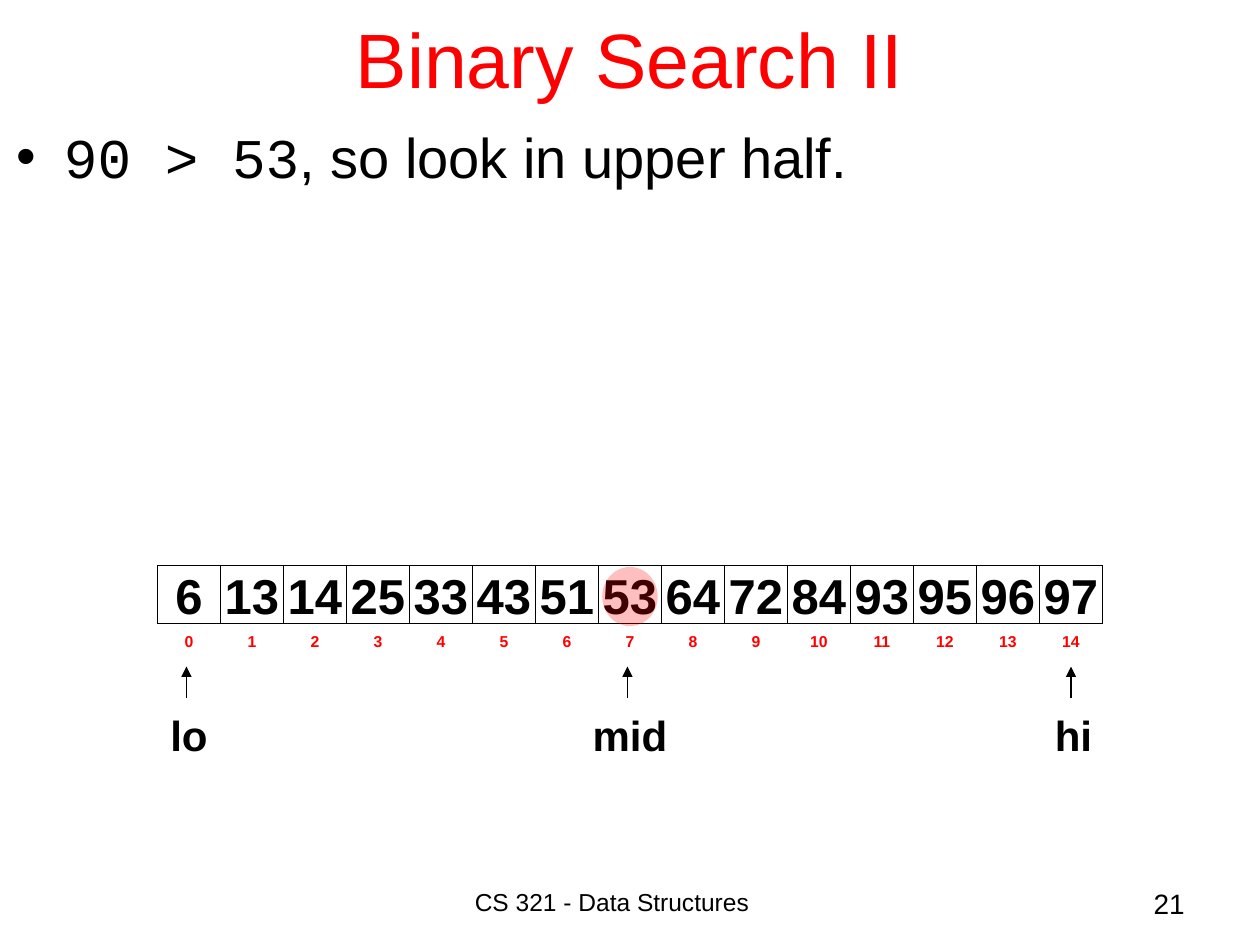
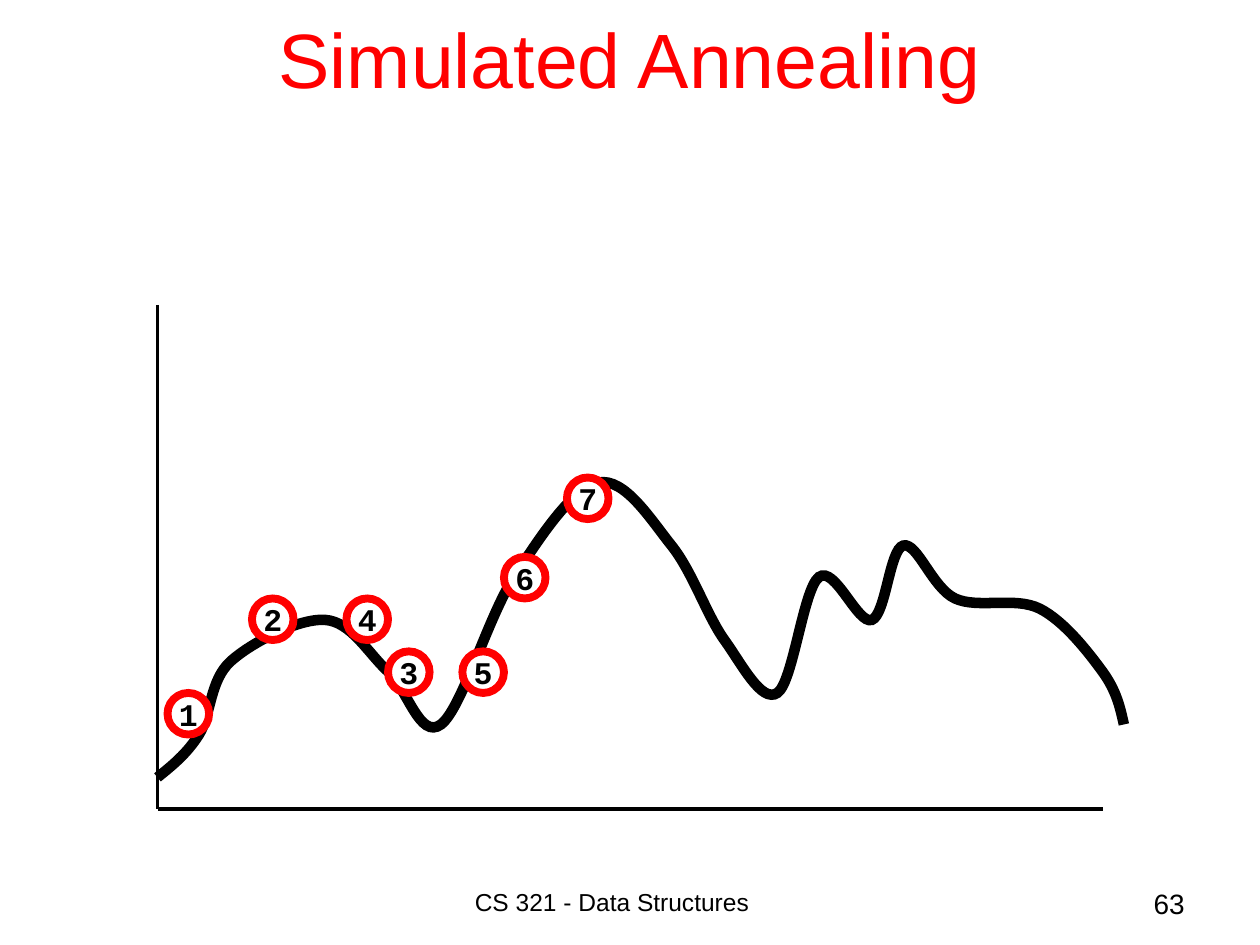
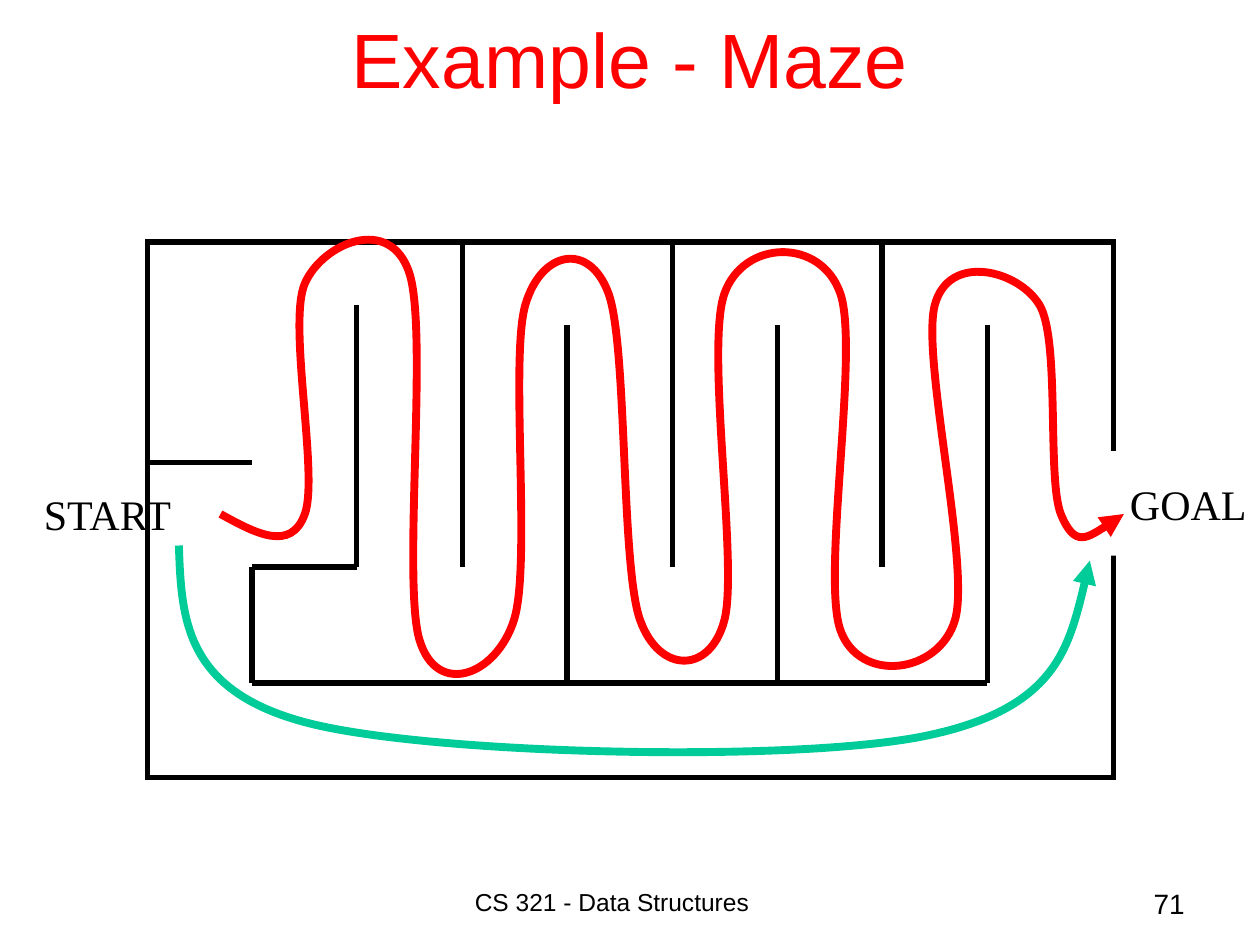
from lxml import etree
from pptx import Presentation
from pptx.dml.color import RGBColor
from pptx.enum import shapes, text
from pptx.oxml import ns
from pptx.util import Inches, Pt

BLACK = RGBColor(0, 0, 0)
WHITE = RGBColor(255, 255, 255)
RED = RGBColor(255, 0, 0)
GREEN = RGBColor(0, 204, 153)
SANS, MONO, SERIF = "Arial", "Courier New", "Times New Roman"
LEFT, MID, RIGHT = text.PP_ALIGN.LEFT, text.PP_ALIGN.CENTER, text.PP_ALIGN.RIGHT
RECT, OVAL = shapes.MSO_SHAPE.RECTANGLE, shapes.MSO_SHAPE.OVAL

# Content
FOOTER = "CS 321 - Data Structures"
VALUES = [6, 13, 14, 25, 33, 43, 51, 53, 64, 72, 84, 93, 95, 96, 97]
CELL, ROW = 0.5, 1.25
# label, left, width, arrow x
MARKS = [("lo", 1.25, 0.5, 1.48), ("hi", 8.27, 0.5, 8.5), ("mid", 4.6, 0.8, 4.98)]

HILLS = [(1.25, 6.17), (1.58, 5.83), (1.83, 5.25), (2.58, 4.92), (3.08, 5.33),
         (3.5, 5.75), (4.08, 4.58), (4.75, 3.83), (5.33, 4.33), (5.75, 5.08),
         (6.17, 5.5), (6.5, 4.58), (6.92, 4.92), (7.17, 4.33), (7.58, 4.75),
         (8.25, 4.83), (8.75, 5.33), (8.92, 5.75)]
STEPS = [(1.33, 5.5), (2, 4.75), (3.08, 5.17), (2.75, 4.75), (3.67, 5.17),
         (4, 4.42), (4.5, 3.79)]
AXES = [(1.25, 2.42, 1.25, 6.42), (8.75, 6.42, 1.25, 6.42)]

WALLS = [(1.17, 3.67, 2, 3.67), (2, 4.5, 2.83, 4.5), (2.83, 2.42, 2.83, 4.5),
         (2, 5.42, 7.83, 5.42), (2, 4.5, 2, 5.42)]
LONG = [(1.75, 4.08), (2.42, 4.08), (2.42, 2.25), (3.25, 2.17), (3.33, 5.08),
        (4.08, 4.92), (4.17, 2.42), (4.83, 2.33), (5.08, 4.92), (5.75, 4.92),
        (5.75, 2.33), (6.67, 2.33), (6.67, 5), (7.58, 4.92), (7.42, 2.42),
        (8.25, 2.42), (8.42, 4.08), (8.92, 4.08)]
SHORT = [(1.42, 4.33), (2.45, 5.74), (7.35, 5.84), (8.65, 4.45)]
ENDS = [("START", 0.25, 3.83, 1.26), ("GOAL", 8.87, 3.75, 1.13)]


def add(node, tag, **attrs):
    return etree.SubElement(node, ns.qn(tag), attrs)


def write(shape, words, size=18, font=SANS, color=BLACK, bold=False,
          align=LEFT, middle=False, wrap=True):
    """Fill a shape with one paragraph; words is a string or (text, font) runs."""
    frame = shape.text_frame
    frame.word_wrap = wrap
    frame.vertical_anchor = text.MSO_ANCHOR.MIDDLE if middle else text.MSO_ANCHOR.TOP
    para = frame.paragraphs[0]
    para.alignment = align
    for part, face in [(words, font)] if isinstance(words, str) else words:
        run = para.add_run()
        run.text = part
        run.font.name, run.font.size, run.font.bold = face, Pt(size), bold
        run.font.color.rgb = color
    return para


def label(slide, words, at, **style):
    return write(slide.shapes.add_textbox(*map(Inches, at)), words, **style)


def stroke(shape, color, width, arrow=False):
    shape.line.color.rgb, shape.line.width = color, Pt(width)
    edge = shape._element.spPr.find(ns.qn("a:ln"))
    add(edge, "a:miter", lim="800000")
    if arrow:
        add(edge, "a:tailEnd", type="triangle")


def block(slide, kind, at, fill=None, line=None, width=0.75):
    shape = slide.shapes.add_shape(kind, *map(Inches, at))
    shape.shadow.inherit = False
    if fill is None:
        shape.fill.background()
    else:
        shape.fill.solid()
        shape.fill.fore_color.rgb = fill
    if line is None:
        shape.line.fill.background()
    else:
        stroke(shape, line, width)
    return shape


def rule(slide, ends, width, arrow=False):
    line = slide.shapes.add_connector(shapes.MSO_CONNECTOR.STRAIGHT, *map(Inches, ends))
    stroke(line, BLACK, width, arrow)
    add(line._element.spPr, "a:effectLst")


def curve(slide, knots, color, width, arrow=False):
    """Draw a smooth curve whose tangent at a knot follows its neighbours."""
    def shift(a, b, c, sign):
        return tuple(q + sign * (r - p) / 6 for p, q, r in zip(a, b, c))

    def half(a, b):
        return tuple((p + q) / 2 for p, q in zip(a, b))

    trios = list(zip(knots, knots[1:], knots[2:]))
    outs = [shift(*trio, 1) for trio in trios]
    ins = [shift(*trio, -1) for trio in trios]
    outs.insert(0, half(knots[0], ins[0]))
    ins.append(half(outs[-1], knots[-1]))
    points = [p for trio in zip(outs, ins, knots[1:]) for p in trio]

    build = slide.shapes.build_freeform(*map(Inches, knots[0]))
    build.add_line_segments([tuple(map(Inches, p)) for p in points], close=False)
    shape = build.convert_to_shape()
    shape.shadow.inherit = False
    shape.fill.background()
    stroke(shape, color, width, arrow)
    # Turn each three straight segments into one cubic segment
    route = next(shape._element.iter(ns.qn("a:path")))
    legs = route.findall(ns.qn("a:lnTo"))
    for i in range(0, len(legs), 3):
        cubic = add(route, "a:cubicBezTo")
        for leg in legs[i:i + 3]:
            cubic.append(leg[0])
            route.remove(leg)


def page(deck, title, number):
    slide = deck.slides.add_slide(deck.slide_layouts[6])
    label(slide, title, (0.75, -0.17, 8.5, 1.25), size=44, color=RED,
          align=MID, middle=True)
    label(slide, FOOTER, (3.67, 6.99, 3.33, 0.5), size=14)
    label(slide, str(number), (7.42, 6.99, 2.08, 0.5), size=16, align=RIGHT)
    return slide


def search(deck):
    slide = page(deck, "Binary Search II", 21)
    # Array indexes, then array cells
    bold = dict(bold=True, align=MID, wrap=False)
    for i in range(len(VALUES)):
        box = block(slide, RECT, (ROW + i * CELL, 4.98, CELL, 0.21), line=WHITE)
        write(box, str(i), size=9, color=RED, middle=True, **bold)
    for i, value in enumerate(VALUES):
        box = block(slide, RECT, (ROW + i * CELL, 4.49, CELL, 0.46), WHITE, BLACK)
        write(box, str(value), size=28, middle=True, **bold)
    # Pointers
    for name, left, width, x in MARKS:
        para = label(slide, name, (left, 5.58, width, 0.51), size=24, **bold)
        para.space_before = Pt(3)
        rule(slide, (x, 5.54, x, 5.29), 0.75, arrow=True)
    # Highlight on the middle value
    spot = block(slide, OVAL, (4.78, 4.5, 0.44, 0.47), RED)
    tint = spot._element.spPr.find(ns.qn("a:solidFill"))[0]
    add(tint, "a:alpha", val="25000")
    # Bullet
    para = label(slide, [("90 > 53", MONO), (", so look in upper half.", SANS)],
                 (0.03, 0.92, 9.97, 2.33), size=32)
    para.space_before = Pt(3)
    props = para._p.get_or_add_pPr()
    props.set("marL", str(Inches(0.38)))
    props.set("indent", str(Inches(-0.38)))
    add(props, "a:buFont", typeface=SANS)
    add(props, "a:buChar", char="•")


def anneal(deck):
    slide = page(deck, "Simulated Annealing", 63)
    for ends in AXES:
        rule(slide, ends, 2.25)
    curve(slide, HILLS, BLACK, 6)
    for i, (x, y) in enumerate(STEPS, 1):
        dot = block(slide, OVAL, (x, y, 0.33, 0.33), WHITE, RED, 4.5)
        write(dot, str(i), font=MONO, bold=True, align=MID, middle=True, wrap=False)


def maze(deck):
    slide = page(deck, "Example - Maze", 71)
    # Outer wall, inner walls and the exit gap
    block(slide, RECT, (1.17, 1.92, 7.67, 4.25), line=BLACK, width=3)
    for ends in WALLS:
        rule(slide, ends, 3)
    for i in range(6):
        x = round(3.67 + i * 5 / 6, 2)
        top, foot = (2.58, 5.42) if i % 2 else (1.92, 4.5)
        rule(slide, (x, top, x, foot), 3)
    block(slide, RECT, (8.42, 3.58, 0.83, 0.83), WHITE)
    for name, x, y, width in ENDS:
        label(slide, name, (x, y, width, 0.5), size=24, font=SERIF, wrap=False)
    # Two routes
    curve(slide, LONG, RED, 4.5, arrow=True)
    curve(slide, SHORT, GREEN, 4.5, arrow=True)


def main():
    deck = Presentation()
    deck.slide_width, deck.slide_height = Inches(10), Inches(7.5)
    for draw in (search, anneal, maze):
        draw(deck)
    deck.save("out.pptx")


if __name__ == "__main__":
    main()
